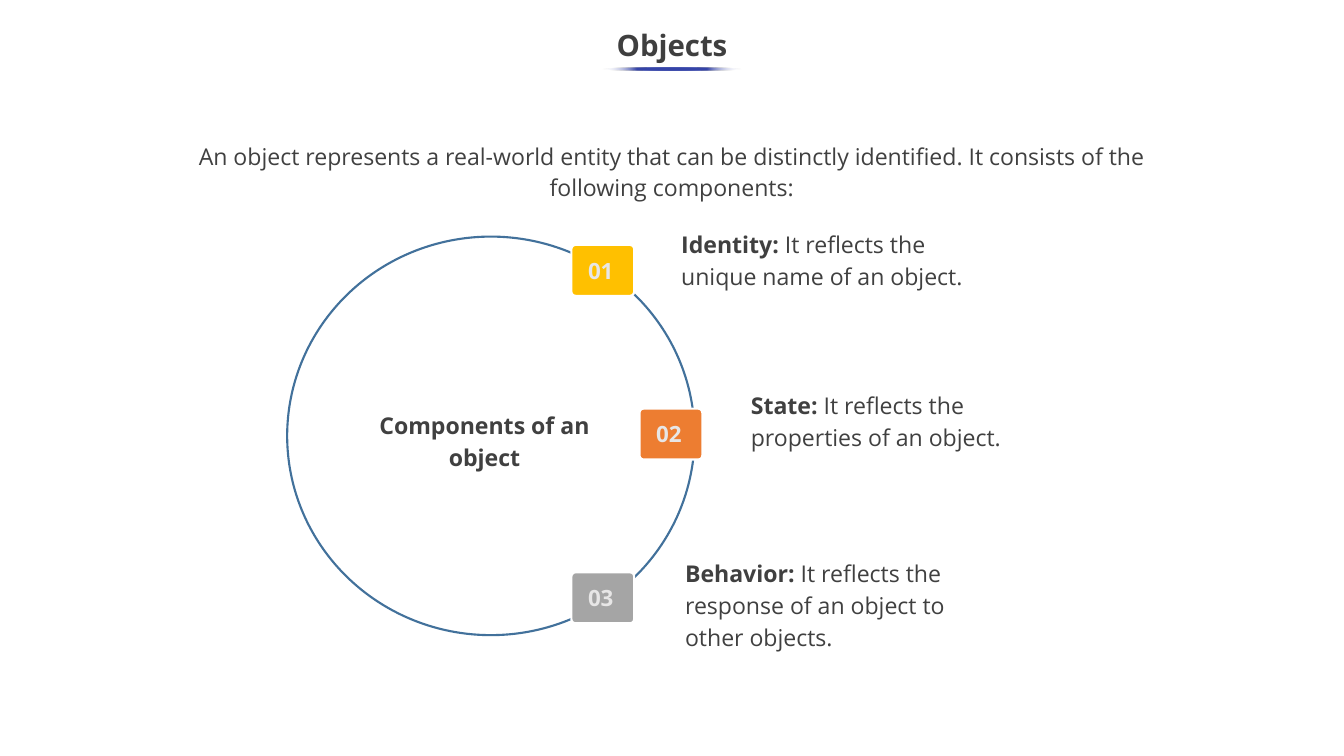
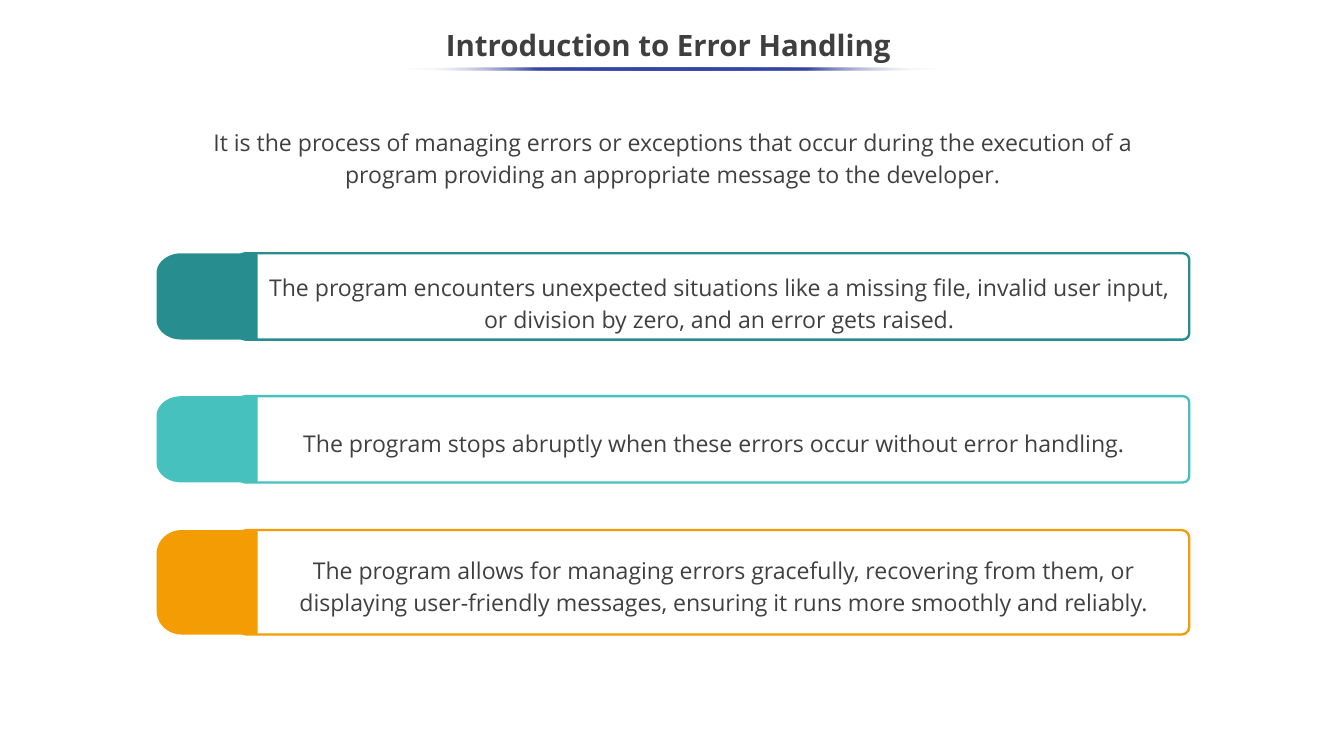
from math import cos, radians, sin

from lxml import etree
from pptx import Presentation
from pptx.dml.color import RGBColor
from pptx.enum.shapes import MSO_SHAPE
from pptx.enum.text import MSO_ANCHOR, PP_ALIGN
from pptx.oxml.ns import qn
from pptx.util import Cm, Pt

ELLIPSE = MSO_SHAPE.OVAL
ROUNDED = MSO_SHAPE.ROUNDED_RECTANGLE
LEFT, CENTER = PP_ALIGN.LEFT, PP_ALIGN.CENTER
TOP, MIDDLE = MSO_ANCHOR.TOP, MSO_ANCHOR.MIDDLE

FONT = "Open Sans"
TITLE_COLOR = "3F3F3F"
BODY_COLOR = "404040"
BADGE_TEXT = "E7E6E6"
CIRCLE_LINE = "42719B"
UNDERLINE = "3645A9"
WHITE = "FFFFFF"
UNDERLINE_STOPS = [(0, WHITE, 0), (25, UNDERLINE, 100), (50, UNDERLINE, 100),
                   (75, UNDERLINE, 100), (100, WHITE, 0)]

SLIDE_WIDTH, SLIDE_HEIGHT = 45.16, 25.4
NARROW_INSETS = (0.25, 0.13)
WIDE_INSETS = (0.46, 0.23)

BADGE_WIDTH, BADGE_HEIGHT = 2.11, 1.71
BADGE_TOP, BADGE_STEP = 8.23, 5.5
COMPONENTS = [
    ("Identity: ", "It reflects the unique name of an object.",
     "FFC000", 19.2, (22.43, 7.37, 10.74, 3.02)),
    ("State: ", "It reflects the properties of an object.",
     "ED7D31", 21.49, (24.77, 12.78, 10.74, 3.02)),
    ("Behavior: ", "It reflects the response of an object to other objects.",
     "A5A5A5", 19.2, (22.56, 18.44, 10.74, 4.09)),
]

TAB_LEFT, TAB_WIDTH, TAB_RADIUS = 5.26, 3.4, 0.84
FRAME_LEFT, FRAME_WIDTH = 8.03, 31.93
PANELS = [
    ("The program encounters unexpected situations like a missing file, "
     "invalid user input, or division by zero, and an error gets raised.",
     "288D8E", 8.51, 2.9, (8.66, 8.92, 31.01, 2.18), TOP),
    ("The program stops abruptly when these errors occur without error "
     "handling.",
     "47C1BE", 13.31, 2.9, (8.48, 14.15, 31.01, 1.24), TOP),
    ("The program allows for managing errors gracefully, recovering from "
     "them, or displaying user-friendly messages, ensuring it runs more "
     "smoothly and reliably.",
     "F49C03", 17.81, 3.51, (9.53, 18.54, 29.57, 2.18), MIDDLE),
]


def color(hex_string):
    return RGBColor.from_string(hex_string)


def paint(shape, fill=None, line=None, line_width=2):
    shape.shadow.inherit = False
    if fill:
        shape.fill.solid()
        shape.fill.fore_color.rgb = color(fill)
    else:
        shape.fill.background()
    if line:
        shape.line.color.rgb = color(line)
        shape.line.width = Pt(line_width)
    else:
        shape.line.fill.background()


def add_box(slide, kind, box, **style):
    shape = slide.shapes.add_shape(kind, *map(Cm, box))
    paint(shape, **style)
    return shape


def add_text(slide, box, runs, size=22, text_color=BODY_COLOR, align=CENTER,
             anchor=TOP, insets=NARROW_INSETS, spacing=1.15):
    frame = slide.shapes.add_textbox(*map(Cm, box)).text_frame
    frame.word_wrap = True
    frame.vertical_anchor = anchor
    frame.margin_left = frame.margin_right = Cm(insets[0])
    frame.margin_top = frame.margin_bottom = Cm(insets[1])
    paragraph = frame.paragraphs[0]
    paragraph.alignment = align
    paragraph.line_spacing = spacing
    for text, bold in runs:
        run = paragraph.add_run()
        run.text = text
        run.font.name = FONT
        run.font.size = Pt(size)
        run.font.bold = bold
        run.font.color.rgb = color(text_color)


def set_gradient(shape, stops):
    shape.fill.gradient()
    shape.fill.gradient_angle = 0
    stop_list = shape._element.spPr.find(qn("a:gradFill")).find(qn("a:gsLst"))
    for stop in list(stop_list):
        stop_list.remove(stop)
    for position, hex_string, opacity in stops:
        stop = etree.SubElement(stop_list, qn("a:gs"), pos=str(position * 1000))
        tint = etree.SubElement(stop, qn("a:srgbClr"), val=hex_string)
        etree.SubElement(tint, qn("a:alpha"), val=str(opacity * 1000))


def add_title(slide, text, underline_width):
    add_text(slide, (0, 0.64, SLIDE_WIDTH, 1.91), [(text, True)], size=28,
             text_color=TITLE_COLOR, anchor=MIDDLE, spacing=0.9)
    left = (SLIDE_WIDTH - underline_width) / 2
    underline = add_box(slide, ELLIPSE, (left, 2.26, underline_width, 0.1))
    set_gradient(underline, UNDERLINE_STOPS)


def add_badge(slide, number, left, top, fill):
    badge = add_box(slide, ROUNDED, (left, top, BADGE_WIDTH, BADGE_HEIGHT),
                    fill=fill, line=WHITE)
    badge.adjustments[0] = 0.08
    add_text(slide, (left + 0.1, top - 0.17, 1.93, 1.9),
             [(f"{number:02d}", True)], size=21.3, text_color=BADGE_TEXT,
             align=LEFT, anchor=MIDDLE, insets=WIDE_INSETS)


def add_tab(slide, top, height, fill):
    radius_y = height * 0.23
    right, bottom = TAB_LEFT + TAB_WIDTH, top + height
    corners = [(top + radius_y, range(270, 179, -9)),
               (bottom - radius_y, range(180, 89, -9))]
    points = [(TAB_LEFT + TAB_RADIUS * (1 + cos(radians(angle))),
               center_y + radius_y * sin(radians(angle)))
              for center_y, angles in corners for angle in angles]
    points.append((right, bottom))
    builder = slide.shapes.build_freeform(Cm(right), Cm(top))
    builder.add_line_segments([(Cm(x), Cm(y)) for x, y in points], close=True)
    paint(builder.convert_to_shape(), fill=fill)


def add_panel(slide, text, accent, top, height, text_box, anchor):
    frame = add_box(slide, ROUNDED, (FRAME_LEFT, top, FRAME_WIDTH, height),
                    line=accent, line_width=2.25)
    frame.adjustments[0] = 0.071
    add_text(slide, text_box, [(text, False)], anchor=anchor)
    add_tab(slide, top, height, accent)


def build_objects(slide):
    add_box(slide, ELLIPSE, (9.65, 7.95, 13.69, 13.39), line=CIRCLE_LINE)
    add_title(slide, "Objects", 4.65)
    add_text(slide, (5.77, 4.5, 33.6, 2.41),
             [("An object represents a real-world entity that can be "
               "distinctly identified. It consists of the following "
               "components:", False)])
    for index, (name, meaning, fill, left, text_box) in enumerate(COMPONENTS):
        add_badge(slide, index + 1, left, BADGE_TOP + index * BADGE_STEP, fill)
        add_text(slide, text_box, [(name, True), (meaning, False)],
                 align=LEFT, insets=WIDE_INSETS)
    add_text(slide, (12.37, 13.56, 7.82, 2.41),
             [("Components of an object", True)])


def build_error_handling(slide):
    add_title(slide, "Introduction to Error Handling ", 18.06)
    add_text(slide, (5.31, 4.19, 34.59, 2.51),
             [("It is the process of managing errors or exceptions that occur "
               "during the execution of a program providing an appropriate "
               "message to the developer.", False)], insets=(0.25, 0))
    for panel in PANELS:
        add_panel(slide, *panel)


def main():
    presentation = Presentation()
    presentation.slide_width = Cm(SLIDE_WIDTH)
    presentation.slide_height = Cm(SLIDE_HEIGHT)
    blank = presentation.slide_layouts[6]
    for build in (build_objects, build_error_handling):
        build(presentation.slides.add_slide(blank))
    presentation.save("out.pptx")


if __name__ == "__main__":
    main()
